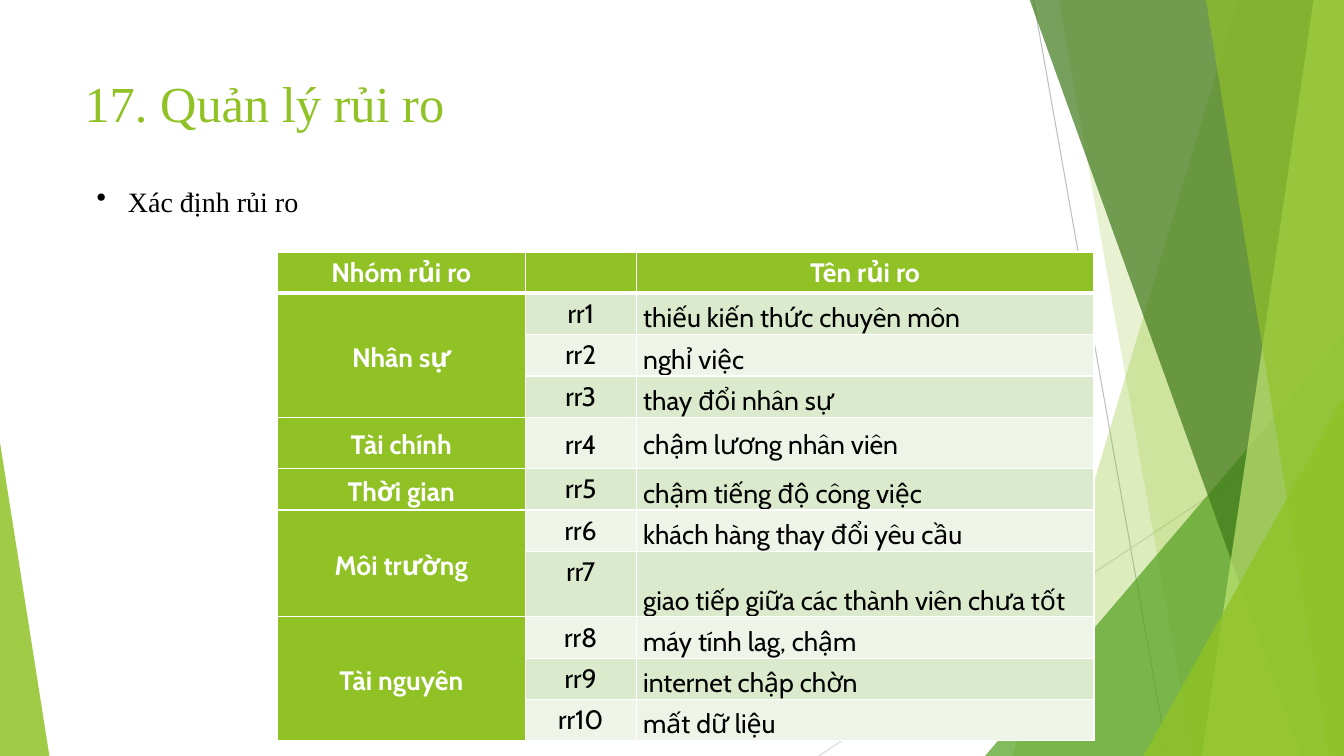
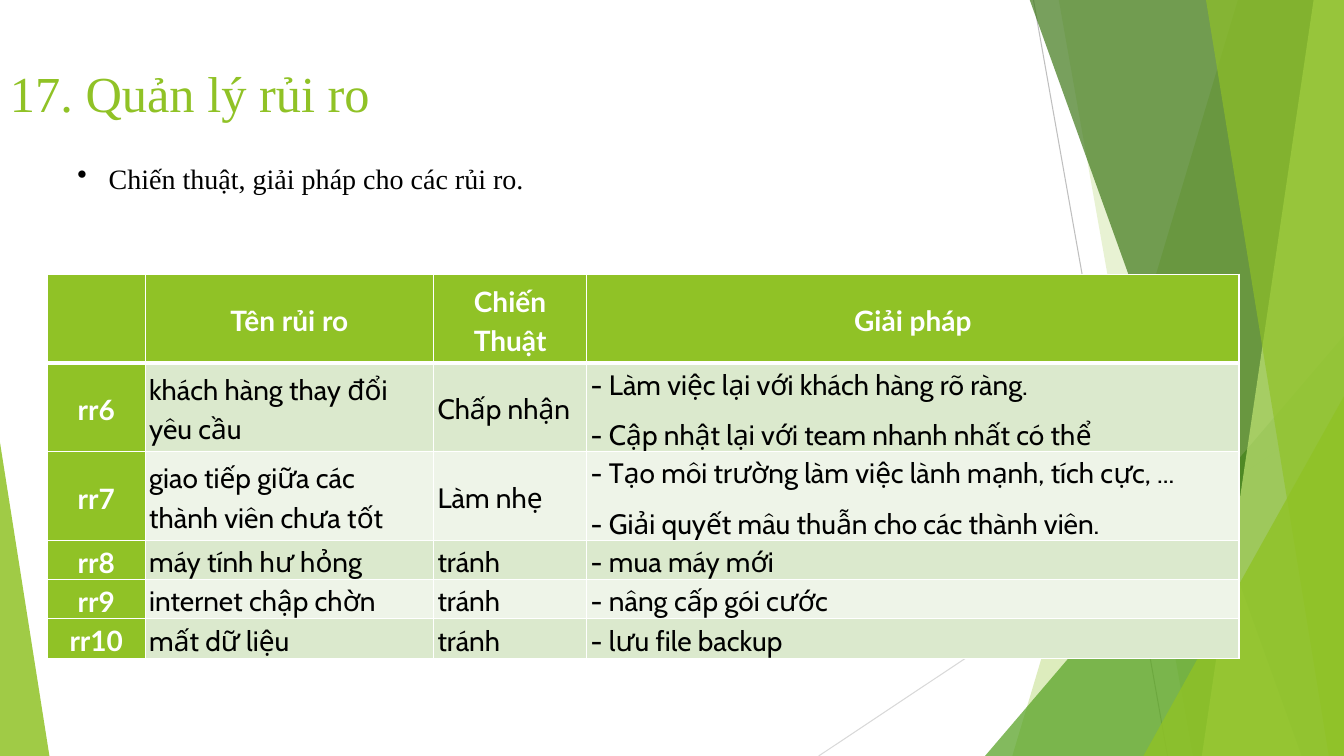
"""Build two risk management slides: the list of risks and the responses to them."""
from dataclasses import dataclass

from lxml.etree import SubElement
from pptx import Presentation
from pptx.dml.color import RGBColor
from pptx.enum.shapes import MSO_CONNECTOR, MSO_SHAPE
from pptx.enum.text import MSO_ANCHOR, MSO_AUTO_SIZE, PP_ALIGN
from pptx.oxml.ns import qn
from pptx.util import Inches, Pt


@dataclass(frozen=True)
class Theme:
    green: str = "90C226"
    leaf: str = "54A021"
    forest: str = "3F7819"
    lime: str = "C0E474"
    band_dark: str = "DBE9CD"
    band_light: str = "EEF4E8"
    white: str = "FFFFFF"
    black: str = "000000"
    line_dark: str = "BFBFBF"
    line_light: str = "D9D9D9"
    serif: str = "Times New Roman"
    sans: str = "Cabin"
    title_size: int = 36
    body_size: int = 20


theme = Theme()
WIDTH, HEIGHT, TOP = 13.33, 7.5, -0.01
LEFT, CENTER = PP_ALIGN.LEFT, PP_ALIGN.CENTER
UPPER, MIDDLE, LOWER = MSO_ANCHOR.TOP, MSO_ANCHOR.MIDDLE, MSO_ANCHOR.BOTTOM


def write_text(frame, text, *, size, color, font=theme.serif, bold=False,
               align=LEFT, spacing=None, after=None, bullet=False):
    for index, line in enumerate(text.split("\n")):
        paragraph = frame.add_paragraph() if index else frame.paragraphs[0]
        paragraph.alignment = align
        if spacing:
            paragraph.line_spacing = spacing
        if after:
            paragraph.space_after = Pt(after)
        if bullet:
            properties = paragraph._p.get_or_add_pPr()
            properties.set("marL", str(Inches(0.31)))
            properties.set("indent", str(-Inches(0.31)))
            SubElement(properties, qn("a:buChar"), char="•")
        run = paragraph.add_run()
        run.text = line
        run.font.size = Pt(size)
        run.font.name = font
        run.font.bold = bold
        run.font.color.rgb = RGBColor.from_string(color)


def paint(shape, color, opacity):
    shape.shadow.inherit = False
    shape.line.fill.background()
    shape.fill.solid()
    shape.fill.fore_color.rgb = RGBColor.from_string(color)
    tint = shape.element.spPr.find(".//" + qn("a:srgbClr"))
    SubElement(tint, qn("a:alpha"), val=str(opacity * 1000))


rays = [
    ((10.25, 0), (11.58, HEIGHT), theme.line_dark),
    ((WIDTH, 4.03), (8.12, HEIGHT), theme.line_light),
]
facets = [
    ("blade", (12.28, 10.04), theme.green, 30),
    ("blade", (10.5, 11.83), theme.green, 20),
    ("wedge", (9.77, 3.33, 3.56, 1), theme.leaf, 72),
    ("blade", (10.21, 12.91), theme.forest, 70),
    ("blade", (13.03, 11.92), theme.lime, 70),
    ("blade", (11.96, 13.18), theme.green, 65),
    ("wedge", (11.34, 3.93, 1.99, 1), theme.green, 80),
    ("wedge", (0, 4.39, 0.49, 0), theme.green, 85),
]

risk_groups = {
    "Nhân sự": ["thiếu kiến thức chuyên môn", "nghỉ việc", "thay đổi nhân sự"],
    "Tài chính": ["chậm lương nhân viên"],
    "Thời gian": ["chậm tiếng độ công việc"],
    "Môi trường": ["khách hàng thay đổi yêu cầu", "giao tiếp giữa các thành viên chưa tốt"],
    "Tài nguyên": ["máy tính lag, chậm", "internet chập chờn", "mất dữ liệu"],
}
risk_rows = [["Nhóm rủi ro", "", "Tên rủi ro"]]
merges = []
for group, risks in risk_groups.items():
    first = len(risk_rows)
    for risk in risks:
        number = len(risk_rows)
        risk_rows.append([group if number == first else "", f"rr{number}", risk])
    merges.append((first, len(risk_rows) - 1))

responses = [
    ["khách hàng thay đổi yêu cầu", "Chấp nhận",
     "- Làm việc lại với khách hàng rõ ràng.\n- Cập nhật lại với team nhanh nhất có thể"],
    ["giao tiếp giữa các thành viên chưa tốt", "Làm nhẹ",
     "- Tạo môi trường làm việc lành mạnh, tích cực, ...\n- Giải quyết mâu thuẫn cho các thành viên."],
    ["máy tính hư hỏng", "tránh", "- mua máy mới"],
    ["internet chập chờn", "tránh", "- nâng cấp gói cước"],
    ["mất dữ liệu", "tránh", "- lưu file backup"],
]
response_rows = [["", "Tên rủi ro", "Chiến Thuật", "Giải pháp"]]
response_rows += [[f"rr{number}", *response] for number, response in enumerate(responses, 6)]

pages = [
    dict(title_at=(0.74, 0.67, 4.03, 1.44),
         topic="Xác định rủi ro", topic_at=(0.86, 1.78, 2.22, 0.44),
         rows=risk_rows, merges=merges, table_at=(2.75, 2.5),
         widths=[2.46, 1.1, 4.54],
         heights=[0.41] * 4 + [0.51, 0.41, 0.41, 0.65] + [0.41] * 3,
         aligns=[CENTER, CENTER, LEFT], anchors=[MIDDLE, UPPER, LOWER],
         head_anchor=UPPER, middle_rows=[4], label_font=theme.sans, size=19, inset=0.07),
    dict(title_at=(0, 0.57, 3.98, 0.81),
         topic="Chiến thuật, giải pháp cho các rủi ro.", topic_at=(0.67, 1.55, 4.66, 0.44),
         rows=response_rows, merges=[], table_at=(0.47, 2.72),
         widths=[0.97, 2.86, 1.52, 6.47],
         heights=[0.88] * 3 + [0.39] * 3,
         aligns=[CENTER, LEFT, LEFT, LEFT], anchors=[MIDDLE] * 4,
         head_anchor=MIDDLE, middle_rows=[], label_font="Lato", size=20, inset=0.04),
]

deck = Presentation()
deck.slide_width, deck.slide_height = Inches(WIDTH), Inches(HEIGHT)

for page in pages:
    slide = deck.slides.add_slide(deck.slide_layouts[6])

    for start, end, color in rays:
        ray = slide.shapes.add_connector(
            MSO_CONNECTOR.STRAIGHT, *[Inches(value) for value in start + end])
        ray.line.color.rgb = RGBColor.from_string(color)
        ray.line.width = Pt(0.75)
        SubElement(ray.element.spPr, qn("a:effectLst"))

    for kind, place, color, opacity in facets:
        if kind == "blade":
            upper, lower = place
            outline = slide.shapes.build_freeform(Inches(upper), Inches(TOP))
            corners = [(WIDTH, TOP), (WIDTH, HEIGHT), (lower, HEIGHT)]
            outline.add_line_segments([(Inches(x), Inches(y)) for x, y in corners])
            facet = outline.convert_to_shape()
        else:
            left, top, width, apex = place
            facet = slide.shapes.add_shape(
                MSO_SHAPE.ISOSCELES_TRIANGLE,
                Inches(left), Inches(top), Inches(width), Inches(HEIGHT - top))
            facet.adjustments[0] = apex
        paint(facet, color, opacity)

    title = slide.shapes.add_textbox(*[Inches(value) for value in page["title_at"]])
    title.text_frame.word_wrap = True
    write_text(title.text_frame, "17. Quản lý rủi ro", size=theme.title_size, color=theme.green)

    topic = slide.shapes.add_textbox(*[Inches(value) for value in page["topic_at"]])
    topic.text_frame.word_wrap = False
    topic.text_frame.auto_size = MSO_AUTO_SIZE.SHAPE_TO_FIT_TEXT
    write_text(topic.text_frame, page["topic"], size=theme.body_size,
               color=theme.black, bullet=True)

    rows, widths, heights = page["rows"], page["widths"], page["heights"]
    left, top = page["table_at"]
    risk_table = slide.shapes.add_table(
        len(rows), len(widths), Inches(left), Inches(top),
        Inches(sum(widths)), Inches(sum(heights))).table
    risk_table.horz_banding = False
    for column, width in zip(risk_table.columns, widths):
        column.width = Inches(width)
    for row, height in zip(risk_table.rows, heights):
        row.height = Inches(height)

    for r, row in enumerate(rows):
        for c, text in enumerate(row):
            cell = risk_table.cell(r, c)
            is_label = r == 0 or c == 0
            cell.margin_left = cell.margin_right = Inches(page["inset"])
            cell.margin_top = cell.margin_bottom = 0
            if r == 0:
                cell.vertical_anchor = page["head_anchor"]
            else:
                cell.vertical_anchor = MIDDLE if r in page["middle_rows"] else page["anchors"][c]

            for side in ("lnL", "lnR", "lnT", "lnB"):
                heavy = (r, side) in [(0, "lnB"), (1, "lnT")]
                border = SubElement(cell._tc.get_or_add_tcPr(), qn("a:" + side),
                                    w=str(Pt(3 if heavy else 1)))
                SubElement(SubElement(border, qn("a:solidFill")), qn("a:srgbClr"), val=theme.white)

            band = theme.band_dark if r % 2 else theme.band_light
            cell.fill.solid()
            cell.fill.fore_color.rgb = RGBColor.from_string(theme.green if is_label else band)
            if text:
                write_text(cell.text_frame, text, size=page["size"],
                           color=theme.white if is_label else theme.black,
                           font=page["label_font"] if is_label else theme.sans, bold=is_label,
                           align=CENTER if is_label else page["aligns"][c],
                           spacing=1.15, after=8)

    for first, last in page["merges"]:
        if last > first:
            risk_table.cell(first, 0).merge(risk_table.cell(last, 0))

deck.save("out.pptx")
